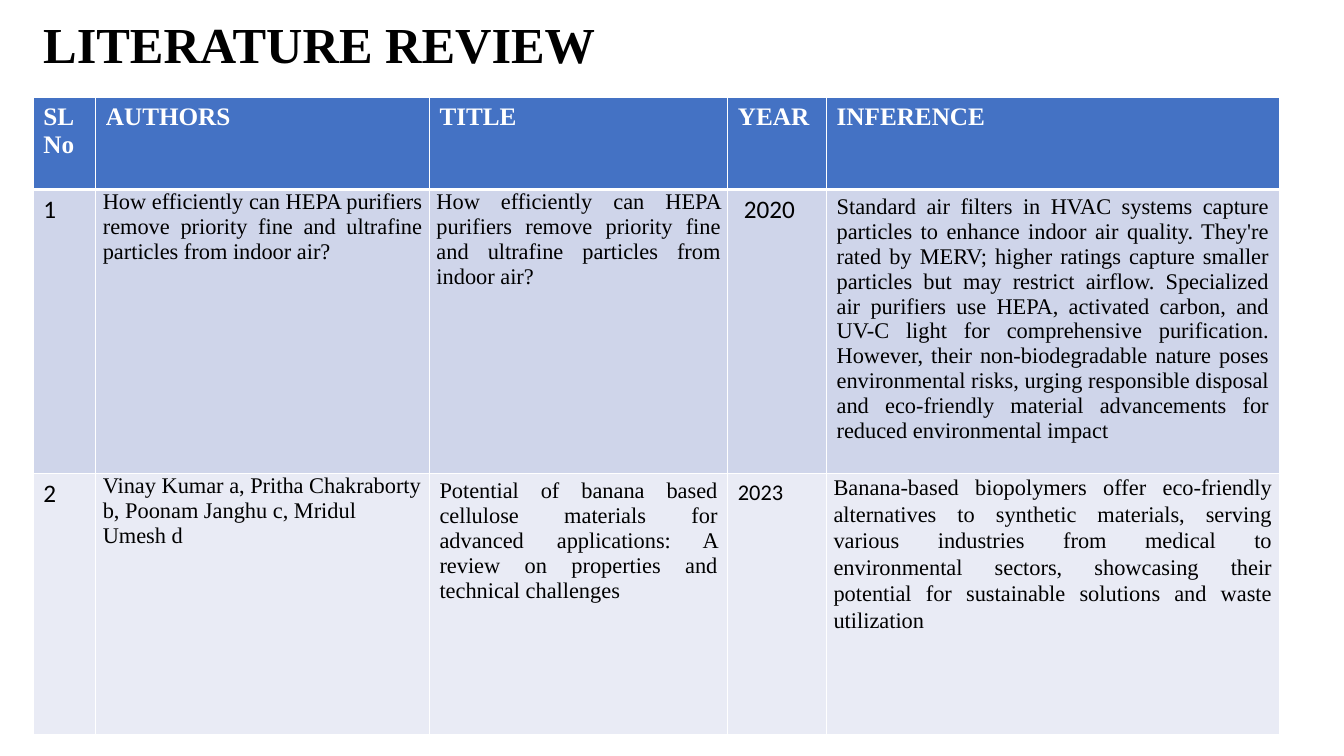
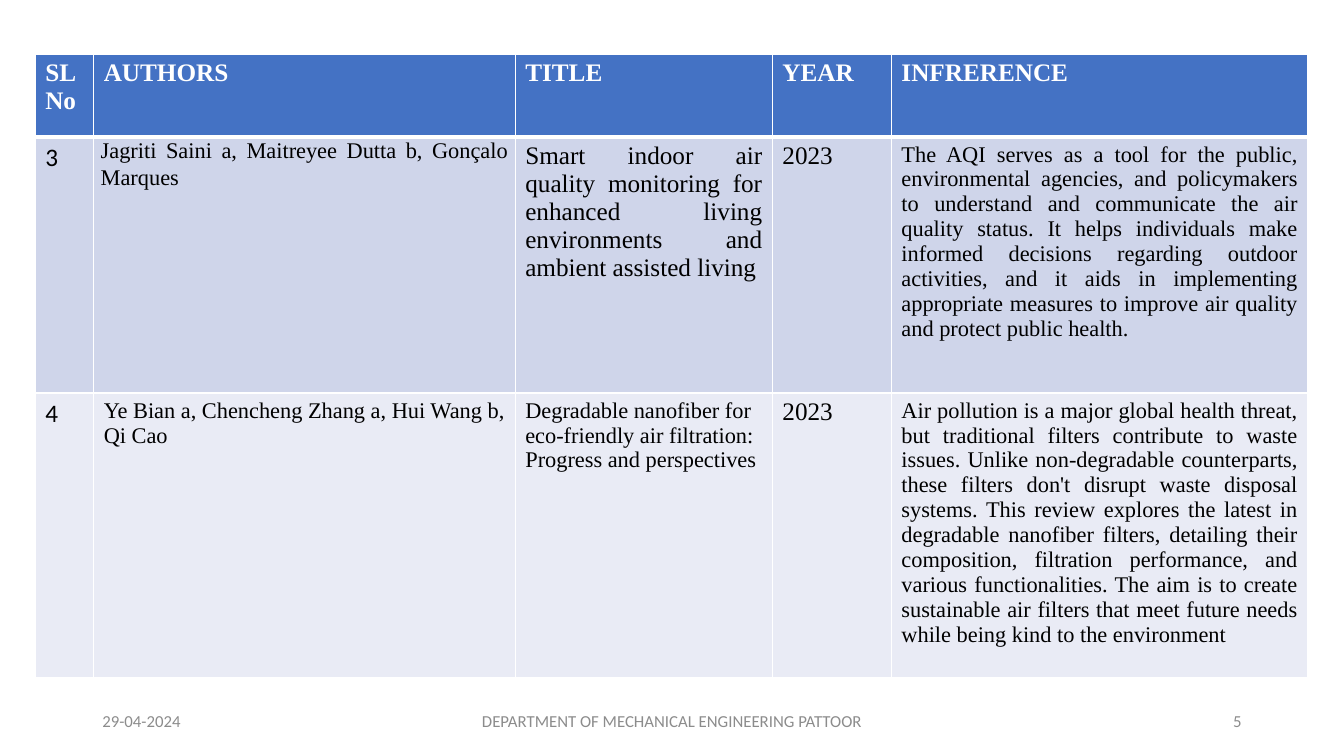
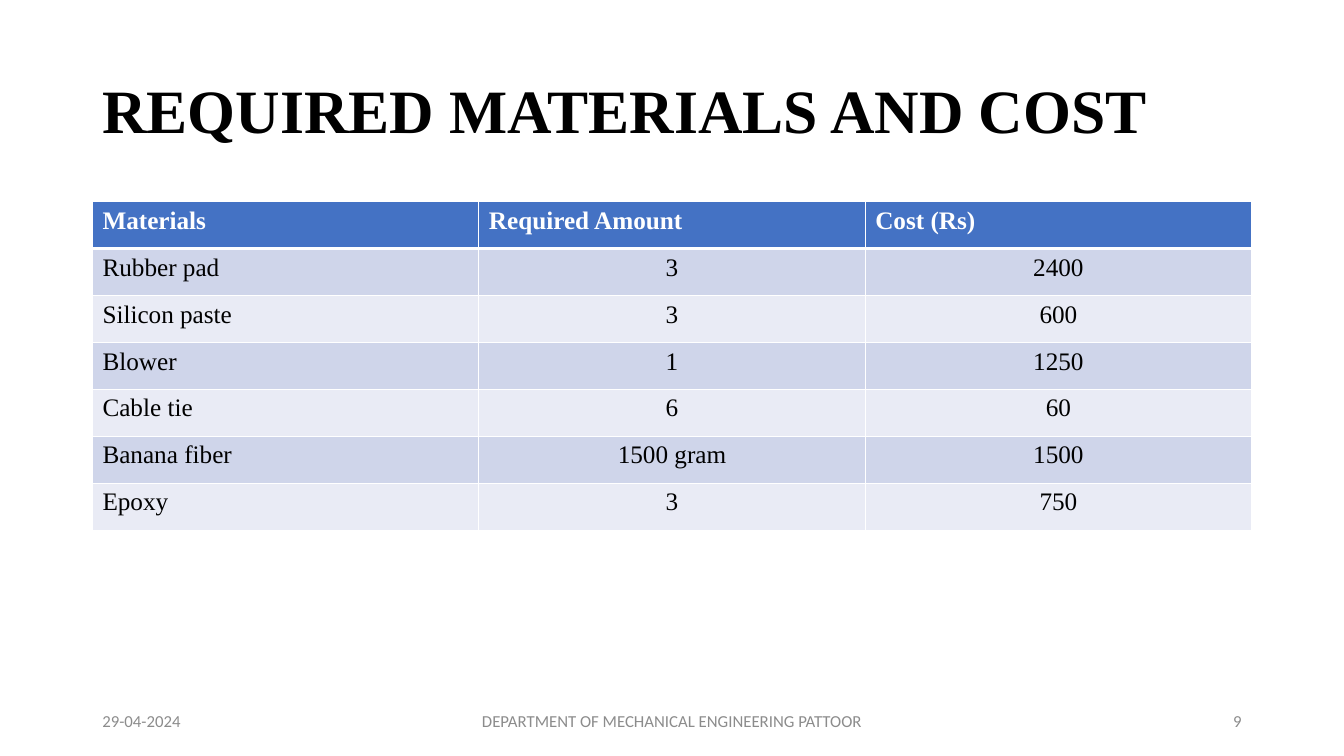
from dataclasses import dataclass

from lxml import etree
from pptx import Presentation
from pptx import util as u
from pptx.dml.color import RGBColor
from pptx.enum import text
from pptx.oxml import ns

SLIDE_WIDTH = u.Inches(13.33)
SLIDE_HEIGHT = u.Inches(7.5)

BLACK = RGBColor(0x00, 0x00, 0x00)
WHITE = RGBColor(0xFF, 0xFF, 0xFF)
GREY = RGBColor(0x8C, 0x8C, 0x8C)
HEADER_BLUE = RGBColor(0x44, 0x72, 0xC4)
BANDS = (RGBColor(0xCF, 0xD5, 0xEA), RGBColor(0xE9, 0xEB, 0xF5))

SERIF = "Times New Roman"
SANS = "Calibri"
LEFT = text.PP_ALIGN.LEFT
CENTER = text.PP_ALIGN.CENTER
RIGHT = text.PP_ALIGN.RIGHT
JUSTIFY = text.PP_ALIGN.JUSTIFY
TOP = text.MSO_ANCHOR.TOP
MIDDLE = text.MSO_ANCHOR.MIDDLE


@dataclass(frozen=True)
class Box:
    left: float
    top: float
    width: float
    height: float

    def lengths(self) -> tuple[int, int, int, int]:
        return (
            int(SLIDE_WIDTH * self.left / 100),
            int(SLIDE_HEIGHT * self.top / 100),
            int(SLIDE_WIDTH * self.width / 100),
            int(SLIDE_HEIGHT * self.height / 100),
        )


@dataclass(frozen=True)
class Style:
    size: int = 18
    font: str = SERIF
    color: RGBColor = BLACK
    bold: bool = False
    align: text.PP_ALIGN = LEFT
    line_spacing: float = 1.0
    space_after: int = 0


@dataclass(frozen=True)
class Cell:
    words: str
    style: Style = Style()
    side: float = 0.1
    edge: float = 0.05


@dataclass(frozen=True)
class Grid:
    box: Box
    columns: tuple[float, ...]
    rows: tuple[float, ...]
    header: tuple[str, ...]
    body: tuple[tuple[Cell, ...], ...]


HEADER = Style(color=WHITE, bold=True)
NUMBER = Style(font=SANS)
SMALL = Style(size=16)
SMALL_SANS = Style(size=16, font=SANS)
SMALL_JUSTIFIED = Style(size=16, align=JUSTIFY)
SPACED = Style(size=16, space_after=8)
SPACED_JUSTIFIED = Style(size=16, align=JUSTIFY, line_spacing=1.07, space_after=8)
JUSTIFIED = Style(align=JUSTIFY)
CENTERED = Style(align=CENTER)

FOOTER_TOP, FOOTER_HEIGHT = 92.67, 5.33
FOOTER_DATE = "29-04-2024"
FOOTER_NAME = "DEPARTMENT OF MECHANICAL ENGINEERING PATTOOR"


def tight(words: str, style: Style) -> Cell:
    return Cell(words, style, side=0.07, edge=0)


HEPA_STUDY = tight(
    "How efficiently can HEPA purifiers remove priority fine and ultrafine "
    "particles from indoor air?",
    SMALL_JUSTIFIED,
)

FIRST_REVIEW = Grid(
    Box(2.48, 12.93, 92.7, 84.27),
    (0.62, 3.31, 2.96, 0.98, 4.49),
    (0.91, 2.82, 2.59),
    ("SL\nNo", "AUTHORS", "TITLE", "YEAR", "INFERENCE"),
    (
        (
            Cell("1", NUMBER),
            HEPA_STUDY,
            HEPA_STUDY,
            Cell("2020", NUMBER, side=0.16),
            Cell(
                "Standard air filters in HVAC systems capture particles to enhance "
                "indoor air quality. They're rated by MERV; higher ratings capture "
                "smaller particles but may restrict airflow. Specialized air purifiers "
                "use HEPA, activated carbon, and UV-C light for comprehensive "
                "purification. However, their non-biodegradable nature poses "
                "environmental risks, urging responsible disposal and eco-friendly "
                "material advancements for reduced environmental impact",
                SMALL_JUSTIFIED,
            ),
        ),
        (
            Cell("2", NUMBER),
            tight(
                "Vinay Kumar a, Pritha Chakraborty b, Poonam Janghu c, Mridul Umesh d",
                SPACED,
            ),
            Cell(
                "Potential of banana based cellulose materials for advanced "
                "applications: A review on properties and technical challenges",
                SMALL_JUSTIFIED,
            ),
            Cell("2023", SMALL_SANS),
            tight(
                "Banana-based biopolymers offer eco-friendly alternatives to synthetic "
                "materials, serving various industries from medical to environmental "
                "sectors, showcasing their potential for sustainable solutions and "
                "waste utilization",
                SPACED_JUSTIFIED,
            ),
        ),
    ),
)

SECOND_REVIEW = Grid(
    Box(2.62, 7.2, 94.7, 82.4),
    (0.58, 4.18, 2.55, 1.18, 4.13),
    (0.82, 2.54, 2.82),
    ("SL\nNo", "AUTHORS", "TITLE", "YEAR", "INFRERENCE"),
    (
        (
            Cell("3", NUMBER),
            tight("Jagriti Saini a, Maitreyee Dutta b, Gonçalo Marques", SPACED_JUSTIFIED),
            Cell(
                "Smart indoor air quality monitoring for enhanced living environments "
                "and ambient assisted living",
                JUSTIFIED,
            ),
            Cell("2023"),
            Cell(
                "The AQI serves as a tool for the public, environmental agencies, and "
                "policymakers to understand and communicate the air quality status. It "
                "helps individuals make informed decisions regarding outdoor "
                "activities, and it aids in implementing appropriate measures to "
                "improve air quality and protect public health.",
                SMALL_JUSTIFIED,
            ),
        ),
        (
            Cell("4", NUMBER),
            Cell("Ye Bian a, Chencheng Zhang a, Hui Wang b, Qi Cao", SMALL),
            Cell(
                "Degradable nanofiber for eco-friendly air filtration: Progress and "
                "perspectives",
                SMALL,
            ),
            Cell("2023"),
            Cell(
                "Air pollution is a major global health threat, but traditional "
                "filters contribute to waste issues. Unlike non-degradable "
                "counterparts, these filters don't disrupt waste disposal systems. "
                "This review explores the latest in degradable nanofiber filters, "
                "detailing their composition, filtration performance, and various "
                "functionalities. The aim is to create sustainable air filters that "
                "meet future needs while being kind to the environment",
                SMALL_JUSTIFIED,
            ),
        ),
    ),
)

MATERIALS = (
    ("Rubber pad", "3", "2400"),
    ("Silicon paste", "3", "600"),
    ("Blower", "1", "1250"),
    ("Cable tie", "6", "60"),
    ("Banana fiber", "1500 gram", "1500"),
    ("Epoxy", "3", "750"),
)

MATERIAL_COSTS = Grid(
    Box(6.88, 26.67, 86.25, 43.47),
    (1, 1, 1),
    (1,) * (len(MATERIALS) + 1),
    ("Materials", "Required Amount", "Cost (Rs)"),
    tuple(
        (Cell(name), Cell(amount, CENTERED), Cell(cost, CENTERED))
        for name, amount, cost in MATERIALS
    ),
)


def write(frame, words: str, style: Style) -> None:
    for index, line in enumerate(words.split("\n")):
        paragraph = frame.add_paragraph() if index else frame.paragraphs[0]
        paragraph.alignment = style.align
        paragraph.line_spacing = style.line_spacing
        paragraph.space_after = u.Pt(style.space_after)
        run = paragraph.add_run()
        run.text = line
        run.font.name = style.font
        run.font.size = u.Pt(style.size)
        run.font.bold = style.bold
        run.font.color.rgb = style.color


def add_text(slide, box: Box, words: str, style: Style, anchor=MIDDLE) -> None:
    frame = slide.shapes.add_textbox(*box.lengths()).text_frame
    frame.word_wrap = True
    frame.vertical_anchor = anchor
    write(frame, words, style)


def add_footer(slide, number: str) -> None:
    for left, width, words, align in (
        (6.88, 22.5, FOOTER_DATE, LEFT),
        (33.13, 33.75, FOOTER_NAME, CENTER),
        (70.63, 22.5, number, RIGHT),
    ):
        style = Style(size=12, font=SANS, color=GREY, align=align)
        add_text(slide, Box(left, FOOTER_TOP, width, FOOTER_HEIGHT), words, style)


def add_borders(table_cell, top: int, bottom: int) -> None:
    properties = table_cell._tc.get_or_add_tcPr()
    widths = (("lnL", 1), ("lnR", 1), ("lnT", top), ("lnB", bottom))
    for position, (side, points) in enumerate(widths):
        line = etree.Element(ns.qn(f"a:{side}"), w=str(u.Pt(points)))
        fill = etree.SubElement(line, ns.qn("a:solidFill"))
        etree.SubElement(fill, ns.qn("a:srgbClr"), val=str(WHITE))
        properties.insert(position, line)


def add_grid(slide, grid: Grid) -> None:
    lengths = grid.box.lengths()
    table = slide.shapes.add_table(len(grid.rows), len(grid.columns), *lengths).table
    for column, share in zip(table.columns, grid.columns):
        column.width = int(lengths[2] * share / sum(grid.columns))
    for row, share in zip(table.rows, grid.rows):
        row.height = int(lengths[3] * share / sum(grid.rows))

    header = tuple(Cell(words, HEADER) for words in grid.header)
    for row_index, cells in enumerate((header, *grid.body)):
        color = BANDS[(row_index - 1) % 2] if row_index else HEADER_BLUE
        for column_index, cell in enumerate(cells):
            table_cell = table.cell(row_index, column_index)
            table_cell.margin_left = table_cell.margin_right = u.Inches(cell.side)
            table_cell.margin_top = table_cell.margin_bottom = u.Inches(cell.edge)
            table_cell.fill.solid()
            table_cell.fill.fore_color.rgb = color
            add_borders(
                table_cell,
                top=3 if row_index == 1 else 1,
                bottom=3 if row_index == 0 else 1,
            )
            write(table_cell.text_frame, cell.words, cell.style)


def add_title(slide, box: Box, words: str, size: int, anchor) -> None:
    style = Style(size=size, bold=True, line_spacing=0.9)
    add_text(slide, box, words, style, anchor)


def main() -> None:
    presentation = Presentation()
    presentation.slide_width = SLIDE_WIDTH
    presentation.slide_height = SLIDE_HEIGHT
    blank = presentation.slide_layouts[6]

    slide = presentation.slides.add_slide(blank)
    add_title(slide, Box(2.48, 2, 89.1, 10), "LITERATURE REVIEW", 36, TOP)
    add_grid(slide, FIRST_REVIEW)

    slide = presentation.slides.add_slide(blank)
    add_grid(slide, SECOND_REVIEW)
    add_footer(slide, "5")

    slide = presentation.slides.add_slide(blank)
    title_box = Box(6.88, 5.33, 86.25, 19.33)
    add_title(slide, title_box, "REQUIRED MATERIALS AND COST", 44, MIDDLE)
    add_grid(slide, MATERIAL_COSTS)
    add_footer(slide, "9")

    presentation.save("out.pptx")


if __name__ == "__main__":
    main()
